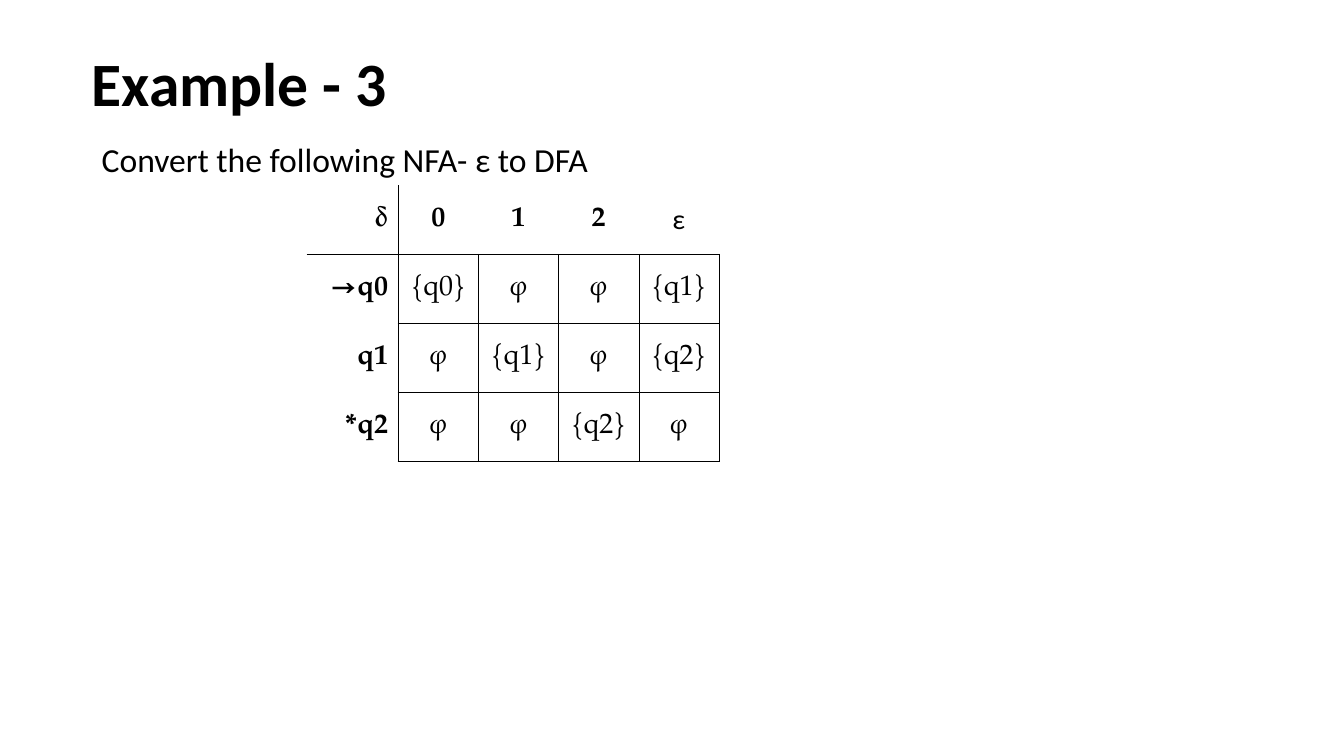
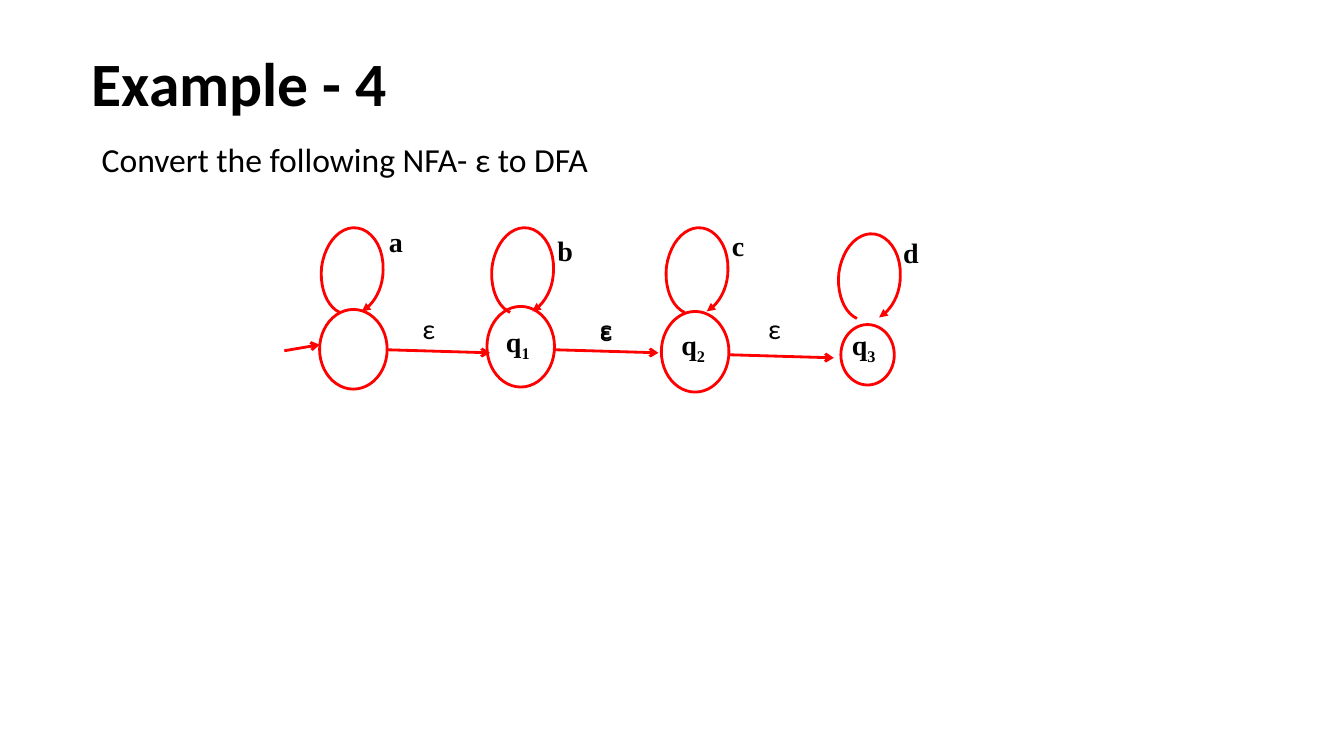
import dataclasses

import lxml.etree
import pptx
import pptx.dml.color
import pptx.enum.shapes
import pptx.enum.text
import pptx.oxml.ns
import pptx.util

PX = 9144  # EMU in one px, 100 px to the inch
ALIGN = pptx.enum.text.PP_ALIGN
MIDDLE = pptx.enum.text.MSO_ANCHOR.MIDDLE


@dataclasses.dataclass(frozen=True)
class Theme:
    ink: str = "000000"
    edge: str = "FF0000"
    sans: str = "Calibri"
    serif: str = "Times New Roman"
    math: str = "TeX Gyre Pagella"
    head: int = 44
    body: int = 24
    small: int = 20
    stroke: int = 2


THEME = Theme()
TASK = "Convert the following NFA- ε to DFA"

HEADS = ["δ", "0", "1", "2", "ε"]
ROWS = [
    ["→q0", "{q0}", "φ", "φ", "{q1}"],
    ["q1", "φ", "{q1}", "φ", "{q2}"],
    ["*q2", "φ", "φ", "{q2}", "φ"],
]

# Oval box, loop corner, loop letter and its corner, state index and its corner
STATES = [
    ((35, 89, 67, 79), (37, 8), "a", (94, 0), None, None),
    ((201, 86, 67, 80), (206, 8), "b", (261, 9), "1", (210, 99)),
    ((374, 91, 67, 80), (379, 8), "c", (434, 4), "2", (384, 102)),
    ((552, 104, 53, 60), (550, 14), "d", (604, 11), "3", (553, 102)),
]
ARROWS = [(0, 130, 35, 124), (101, 129, 204, 132),
          (268, 129, 371, 132), (442, 134, 545, 137)]
EMPTY = [(127, 86), (303, 86), (303, 88), (470, 86)]

# Bezier points of a loop: a start, then three points for each curve
LOOP = [(18, 84), (5, 78), (-2, 59), (0, 39), (3, 17), (16, 1), (31, 0),
        (48, -1), (62, 18), (61, 42), (61, 60), (52, 76), (40, 83)]
STEPS = 10


def emu(*sizes):
    return [round(size * PX) for size in sizes]


def tag(parent, name, **attrs):
    return lxml.etree.SubElement(parent, pptx.oxml.ns.qn(name), **attrs)


def paint(name):
    return pptx.dml.color.RGBColor.from_string(name)


def say(frame, text, size=THEME.small, face=THEME.sans, bold=False,
        align=ALIGN.LEFT, lead=None, after=None, sub=None):
    """Write one paragraph, with an optional subscript at its end."""
    para = frame.paragraphs[0]
    para.alignment = align
    para.line_spacing = lead
    if after:
        para.space_after = pptx.util.Pt(after)
    for part in filter(None, (text, sub)):
        run = para.add_run()
        run.text = part
        font = run.font
        font.size, font.name, font.bold = pptx.util.Pt(size), face, bold
        font.color.rgb = paint(THEME.ink)
        if part == sub:
            run._r.get_or_add_rPr().set("baseline", "-25000")


def label(slide, box, text, **fmt):
    frame = slide.shapes.add_textbox(*emu(*box)).text_frame
    frame.word_wrap = True
    say(frame, text, **fmt)


def trace(shape, tip=None):
    """Give a shape or connector its red line, arrowhead and no shadow."""
    shape.line.color.rgb = paint(THEME.edge)
    shape.line.width = pptx.util.Pt(THEME.stroke)
    if tip:
        tag(shape.line._get_or_add_ln(), "a:tailEnd", type=tip)
    tag(shape._element.spPr, "a:effectLst")


# Title and task line
def start(deck, title):
    slide = deck.slides.add_slide(deck.slide_layouts[5])
    head = slide.shapes.title
    head.left, head.top, head.width, head.height = emu(81, 13, 1150, 145)
    frame = head.text_frame
    frame.auto_size = pptx.enum.text.MSO_AUTO_SIZE.NONE
    frame.vertical_anchor = MIDDLE
    say(frame, title, size=THEME.head, bold=True, lead=0.9)
    label(slide, (91, 133, 667, 50), TASK, size=THEME.body)
    return slide


# Transition table
def weight(line, track):
    """Width of a rule: heavy beside the heads, thin between the values."""
    if line == 1:
        return 1
    return 0.25 if line and track else 0


def rule(cell, row, col):
    sides = {"L": (col, row), "R": (col + 1, row),
             "T": (row, col), "B": (row + 1, col)}
    props = cell._tc.get_or_add_tcPr()
    for side, spot in sides.items():
        width = weight(*spot)
        line = tag(props, "a:ln" + side, w=str(pptx.util.Pt(width)))
        if width:
            tag(tag(line, "a:solidFill"), "a:srgbClr", val=THEME.ink)
        else:
            tag(line, "a:noFill")
    cell.fill.background()


def grid(slide, x, y, wide, high):
    data = [HEADS] + ROWS
    table = slide.shapes.add_table(
        len(data), len(HEADS), *emu(x, y, wide, high)).table
    table.first_row = table.horz_banding = False
    first = 91
    for col, column in enumerate(table.columns):
        share = (wide - first) / (len(HEADS) - 1) if col else first
        column.width = emu(share)[0]
    for row, texts in enumerate(data):
        for col, text in enumerate(texts):
            cell = table.cell(row, col)
            rule(cell, row, col)
            cell.vertical_anchor = MIDDLE
            plain = text == "ε"
            say(cell.text_frame, text,
                face=THEME.sans if plain else THEME.math,
                bold=not plain and not (row and col),
                align=ALIGN.CENTER if col else ALIGN.RIGHT)


# State diagram
def bend(points):
    """Sample a chain of cubic curves."""
    for i in range(0, len(points) - 1, 3):
        a, b, c, d = points[i:i + 4]
        for step in range(1, STEPS + 1):
            t = step / STEPS
            u = 1 - t
            yield tuple(u**3 * a[k] + 3 * u * u * t * b[k]
                        + 3 * u * t * t * c[k] + t**3 * d[k] for k in (0, 1))


def loop(slide, x, y):
    first, *rest = [emu(x + dx, y + dy)
                    for dx, dy in [LOOP[0], *bend(LOOP)]]
    pen = slide.shapes.build_freeform(*first, scale=1.0)
    pen.add_line_segments(rest, close=False)
    curve = pen.convert_to_shape()
    curve.fill.background()
    trace(curve, "triangle")


def graph(slide, x, y):
    bold = dict(face=THEME.serif, bold=True, after=10)
    for (ox, oy, wide, high), turn, mark, spot, index, name in STATES:
        oval = slide.shapes.add_shape(
            pptx.enum.shapes.MSO_SHAPE.OVAL, *emu(x + ox, y + oy, wide, high))
        oval.fill.background()
        trace(oval)
        loop(slide, x + turn[0], y + turn[1])
        label(slide, (x + spot[0], y + spot[1], 37, 37), mark, **bold)
        if index:
            label(slide, (x + name[0], y + name[1], 70, 57), "q",
                  sub=index, **bold)
    for ax, ay, bx, by in ARROWS:
        line = slide.shapes.add_connector(
            pptx.enum.shapes.MSO_CONNECTOR.STRAIGHT,
            *emu(x + ax, y + ay, x + bx, y + by))
        trace(line, "arrow")
    for ex, ey in EMPTY:
        label(slide, (x + ex, y + ey, 37, 37), "ε", after=10)


def main():
    deck = pptx.Presentation()
    deck.slide_width, deck.slide_height = emu(1333, 750)
    grid(start(deck, "Example - 3"), 304, 184, 409, 274)
    graph(start(deck, "Example - 4"), 282, 218)
    deck.save("out.pptx")


if __name__ == "__main__":
    main()
